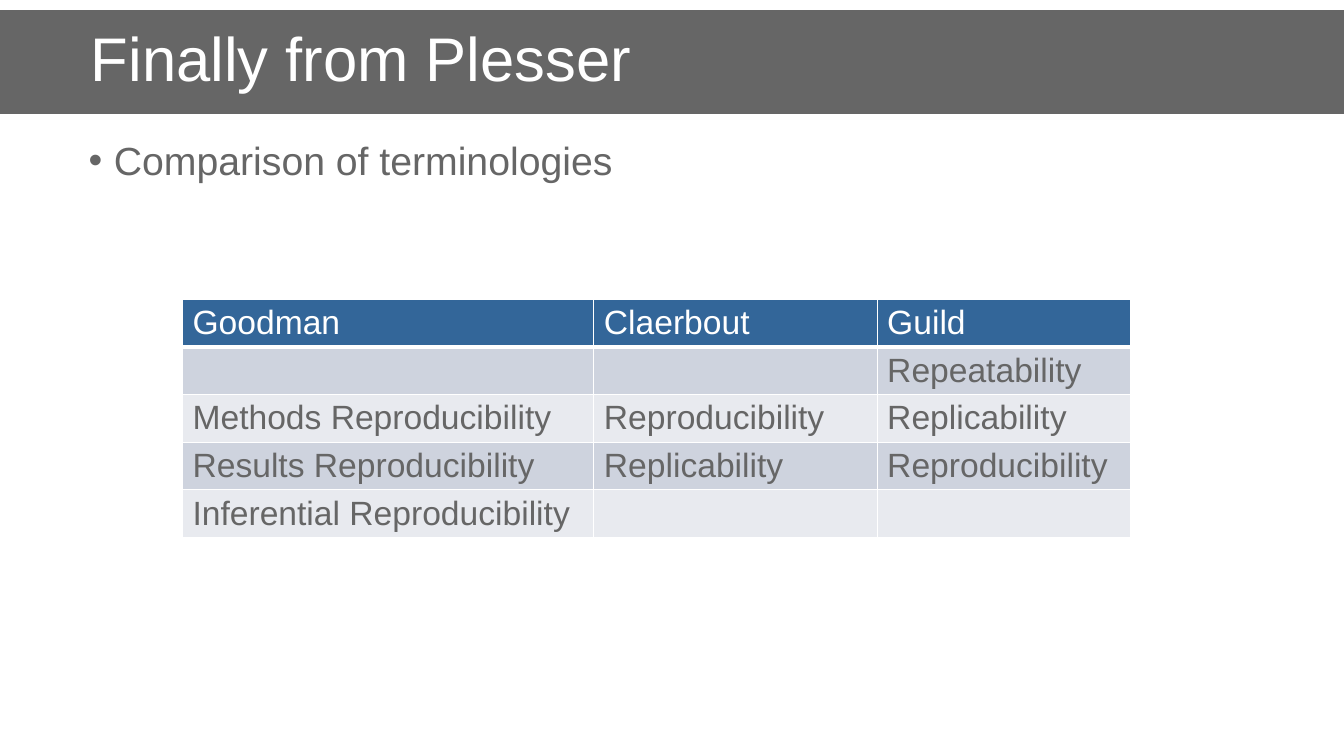
from dataclasses import dataclass

import pptx
import pptx.dml.color
import pptx.enum.text
import pptx.oxml
import pptx.oxml.ns
import pptx.util
from pptx.util import Inches


@dataclass(frozen=True)
class Theme:
    font: str = "Arial"
    white: str = "FFFFFF"
    grey: str = "666666"
    header: str = "336699"
    dark_band: str = "CED3DE"
    light_band: str = "E8EAEF"
    title_size: int = 44
    body_size: int = 28
    table_size: int = 24


theme = Theme()


def paint(fill, color):
    fill.solid()
    fill.fore_color.rgb = pptx.dml.color.RGBColor.from_string(color)


def style(para, size, color):
    para.font.name = theme.font
    para.font.size = pptx.util.Pt(size)
    para.font.bold = False
    para.font.color.rgb = pptx.dml.color.RGBColor.from_string(color)


deck = pptx.Presentation()
deck.slide_width, deck.slide_height = Inches(13.33), Inches(7.5)
page = deck.slides.add_slide(deck.slide_layouts[1])
paint(page.background.fill, theme.white)

# Title band
title = page.shapes.title
title.left, title.top = Inches(0), Inches(0.1)
title.width, title.height = Inches(13.33), Inches(1.03)
paint(title.fill, theme.grey)
frame = title.text_frame
frame.text = "Finally from Plesser"
frame.margin_left = Inches(0.9)
frame.vertical_anchor = pptx.enum.text.MSO_ANCHOR.MIDDLE
frame.auto_size = pptx.enum.text.MSO_AUTO_SIZE.NONE
para = frame.paragraphs[0]
para.alignment = pptx.enum.text.PP_ALIGN.LEFT
para.line_spacing = 0.9
style(para, theme.title_size, theme.white)

# Bullet list
body = page.placeholders[1]
body.left, body.top = Inches(0.88), Inches(1.4)
body.width, body.height = Inches(11.58), Inches(5.18)
frame = body.text_frame
frame.text = "Comparison of terminologies"
frame.margin_left = frame.margin_top = frame.margin_right = frame.margin_bottom = 0
frame.auto_size = pptx.enum.text.MSO_AUTO_SIZE.NONE
para = frame.paragraphs[0]
para.line_spacing = 0.9
para.space_before = pptx.util.Pt(10)
style(para, theme.body_size, theme.grey)
indents = para._p.get_or_add_pPr()
indents.set("marL", str(Inches(0.25)))
indents.set("indent", str(Inches(-0.25)))

# Terminology table
terms = [
    ["Goodman", "Claerbout", "Guild"],
    ["", "", "Repeatability"],
    ["Methods Reproducibility", "Reproducibility", "Replicability"],
    ["Results Reproducibility", "Replicability", "Reproducibility"],
    ["Inferential Reproducibility", "", ""],
]
column_widths = [4.08, 2.81, 2.51]
row_height = 0.47
header_borders = {"lnL": 1, "lnR": 1, "lnT": 1, "lnB": 3}

table = page.shapes.add_table(
    len(terms), len(column_widths), Inches(1.81), Inches(2.97),
    Inches(sum(column_widths)), Inches(row_height * len(terms))).table
for column, width in zip(table.columns, column_widths):
    column.width = Inches(width)

for row_index, row_terms in enumerate(terms):
    table.rows[row_index].height = Inches(row_height)
    is_header = row_index == 0
    band = theme.dark_band if row_index % 2 else theme.light_band
    for column_index, term in enumerate(row_terms):
        cell = table.cell(row_index, column_index)
        if is_header:
            properties = cell._tc.get_or_add_tcPr()
            for side, points in header_borders.items():
                properties.append(pptx.oxml.parse_xml(
                    f'<a:{side} {pptx.oxml.ns.nsdecls("a")} w="{pptx.util.Pt(points)}">'
                    f'<a:solidFill><a:srgbClr val="{theme.white}"/></a:solidFill>'
                    f'</a:{side}>'))
        paint(cell.fill, theme.header if is_header else band)
        cell.text = term
        style(cell.text_frame.paragraphs[0], theme.table_size,
              theme.white if is_header else theme.grey)

deck.save("out.pptx")
